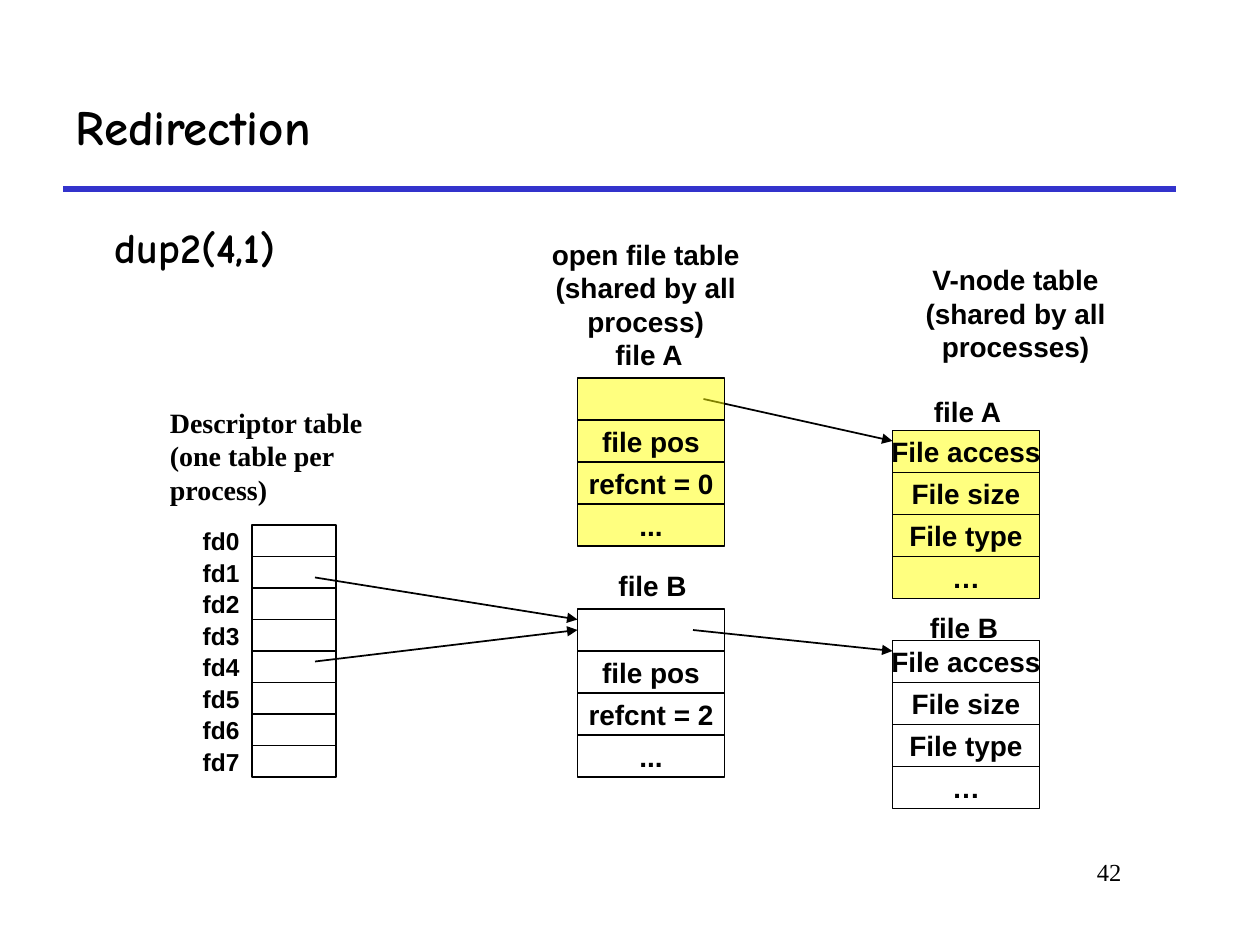
from lxml import etree
from pptx import Presentation
from pptx.dml.color import RGBColor
from pptx.enum import shapes, text
from pptx.oxml import ns
from pptx.util import Pt

COLORS = {"ink": "000000", "rule": "3333CC", "closed": "FFFF00"}
LEFT, CENTER, RIGHT = (text.PP_ALIGN.LEFT, text.PP_ALIGN.CENTER, text.PP_ALIGN.RIGHT)
TOP, MIDDLE = text.MSO_ANCHOR.TOP, text.MSO_ANCHOR.MIDDLE

HEADING = {"name": "Comic Neue", "size": Pt(28), "bold": True}
COMMAND = {"name": "Comic Neue", "size": Pt(24), "bold": True}
LABEL = {"name": "Arial", "size": Pt(16), "bold": True}
DESCRIPTOR = {"name": "Arial", "size": Pt(14), "bold": True}
SERIF = {"name": "Times New Roman", "size": Pt(16), "bold": True}
NUMBER = {"name": "Times New Roman", "size": Pt(14), "bold": False}

DESCRIPTORS = [f"fd{number}" for number in range(8)]
DESCRIPTOR_LEFT, DESCRIPTOR_TOP = 144, 300
DESCRIPTOR_WIDTH, DESCRIPTOR_HEIGHT = 48, 18

# left, top, fill, rows
RECORD_WIDTH, RECORD_HEIGHT = 84, 24
FILE_ROWS = ["File access", "File size", "File type", "…"]
RECORDS = [
    (330, 216, "closed", ["", "file pos", "refcnt = 0", "..."]),
    (330, 348, None, ["", "file pos", "refcnt = 2", "..."]),
    (510, 246, "closed", FILE_ROWS),
    (510, 366, None, FILE_ROWS),
]

# lines, (left, top, width, height), format, alignment, anchor, wrap
TEXTS = [
    (["open file table", "(shared by all process)"],
     (282, 132, 174, 64.8), LABEL, CENTER, MIDDLE, True),
    (["V-node table", "(shared by all processes)"],
     (512.6, 146.4, 135.4, 64.8), LABEL, CENTER, MIDDLE, True),
    (["Descriptor table (one table per process)"],
     (90, 228, 126, 64.8), SERIF, LEFT, TOP, True),
    (["file A"], (344.2, 189.4, 53.3, 26.6), LABEL, CENTER, MIDDLE, False),
    (["file B"], (346.3, 321.4, 53.3, 26.6), LABEL, CENTER, MIDDLE, False),
    (["file A"], (526.3, 221.8, 53.3, 26.6), LABEL, CENTER, MIDDLE, False),
    (["file B"], (524.2, 345.4, 53.3, 26.6), LABEL, CENTER, MIDDLE, False),
    (["42"], (546, 486, 102, 36), NUMBER, RIGHT, TOP, True),
]

# start x, start y, end x, end y
POINTERS = [
    (402, 228, 510, 252),
    (180, 330, 330, 354),
    (180, 378, 330, 360),
    (396, 360, 510, 372),
]


def color(name):
    return RGBColor.from_string(COLORS[name])


def place(shape, area):
    for side, length in zip(("left", "top", "width", "height"), area):
        setattr(shape, side, Pt(length))


def write(shape, lines, style, alignment, anchor, wrap):
    frame = shape.text_frame
    frame.word_wrap = wrap
    frame.auto_size = text.MSO_AUTO_SIZE.NONE
    frame.vertical_anchor = anchor
    for index, line in enumerate(lines):
        para = frame.add_paragraph() if index else frame.paragraphs[0]
        para.alignment = alignment
        span = para.add_run()
        span.text = line
        span.font.color.rgb = color("ink")
        for name, value in style.items():
            setattr(span.font, name, value)


def add_text(page, lines, area, *layout):
    write(page.shapes.add_textbox(*map(Pt, area)), lines, *layout)


def add_cell(page, area, fill=None, label=""):
    cell = page.shapes.add_shape(shapes.MSO_SHAPE.RECTANGLE, *map(Pt, area))
    cell.shadow.inherit = False
    cell.line.color.rgb = color("ink")
    cell.line.width = Pt(1)
    if fill:
        cell.fill.solid()
        cell.fill.fore_color.rgb = color(fill)
        shade = cell.fill._xPr.find(".//" + ns.qn("a:srgbClr"))
        etree.SubElement(shade, ns.qn("a:alpha"), val="50000")
    else:
        cell.fill.background()
    if label:
        write(cell, [label], LABEL, CENTER, MIDDLE, False)


def add_line(page, ends, name, width, arrow=False):
    line = page.shapes.add_connector(shapes.MSO_CONNECTOR.STRAIGHT, *map(Pt, ends))
    line.line.color.rgb = color(name)
    line.line.width = Pt(width)
    if arrow:
        etree.SubElement(line.line._get_or_add_ln(), ns.qn("a:tailEnd"), type="triangle")
    etree.SubElement(line._element.spPr, ns.qn("a:effectLst"))


def main():
    deck = Presentation()
    deck.slide_width, deck.slide_height = Pt(720), Pt(540)
    page = deck.slides.add_slide(deck.slide_layouts[1])

    title, body = page.shapes.title, page.placeholders[1]
    place(title, (36, 36, 636, 72))
    write(title, ["Redirection"], HEADING, LEFT, MIDDLE, True)

    place(body, (58.3, 126, 120, 33.1))
    para = body.text_frame.paragraphs[0]
    bullet = para._p.get_or_add_pPr()
    bullet.set("marL", "0")
    bullet.set("indent", "0")
    etree.SubElement(bullet, ns.qn("a:buNone"))
    para.space_before, para.line_spacing = Pt(0), 0.9
    write(body, ["dup2(4,1)"], COMMAND, LEFT, TOP, True)

    add_line(page, (36, 108, 672, 108), "rule", 3)
    for ends in POINTERS:
        add_line(page, ends, "ink", 1, arrow=True)

    for index, name in enumerate(DESCRIPTORS):
        top = DESCRIPTOR_TOP + index * DESCRIPTOR_HEIGHT
        size = (DESCRIPTOR_WIDTH, DESCRIPTOR_HEIGHT)
        add_cell(page, (DESCRIPTOR_LEFT, top, *size))
        add_text(page, [name], (DESCRIPTOR_LEFT - DESCRIPTOR_WIDTH, top, *size),
                 DESCRIPTOR, RIGHT, MIDDLE, False)

    for left, top, fill, rows in RECORDS:
        for index, label in enumerate(rows):
            area = (left, top + index * RECORD_HEIGHT, RECORD_WIDTH, RECORD_HEIGHT)
            add_cell(page, area, fill, label)

    for item in TEXTS:
        add_text(page, *item)

    deck.save("out.pptx")


if __name__ == "__main__":
    main()
